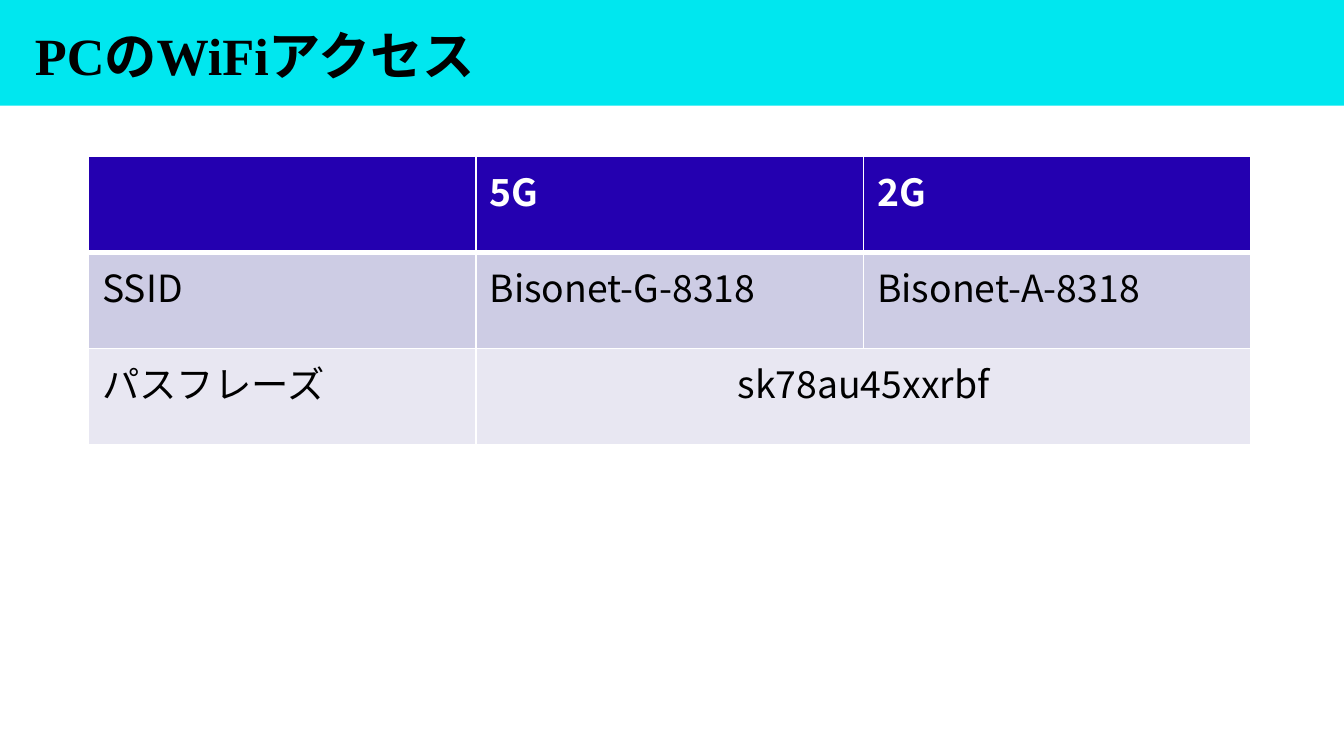
from lxml.etree import SubElement
from pptx import Presentation
from pptx.dml.color import RGBColor
from pptx.enum.shapes import MSO_SHAPE
from pptx.enum.text import MSO_ANCHOR, MSO_AUTO_SIZE, PP_ALIGN
from pptx.oxml import parse_xml
from pptx.oxml.ns import nsdecls, qn
from pptx.util import Inches, Pt

SANS = "Noto Sans CJK JP"


def paint(fill, tone):
    """Make a fill solid in the given hex colour."""
    fill.solid()
    fill.fore_color.rgb = RGBColor.from_string(tone)


def write(para, text, size, face, tone, bold):
    """Add one run, with the sans face for its Japanese letters."""
    run = para.add_run()
    run.text = text
    font = run.font
    font.size, font.name, font.bold = Pt(size), face, bold
    paint(font.fill, tone)
    SubElement(font._element, qn("a:ea"), typeface=SANS)


deck = Presentation()
wide = Inches(10)
high = wide * 9 // 16
deck.slide_width, deck.slide_height = wide, high
slide = deck.slides.add_slide(deck.slide_layouts[5])
paint(slide.background.fill, "FFFFFF")

# Band behind the title
band = slide.shapes.add_shape(MSO_SHAPE.RECTANGLE, 0, 0, wide, int(high * 0.14))
band.shadow.inherit = False
paint(band.fill, "00E7EF")
band.line.fill.background()
slide.shapes._spTree.insert(2, band._element)

# Title
title = slide.shapes.title
title.left, title.top = Inches(0.26), 0
title.width, title.height = Inches(7.31), Inches(0.75)
frame = title.text_frame
frame.auto_size = MSO_AUTO_SIZE.NONE
frame.word_wrap = True
frame.vertical_anchor = MSO_ANCHOR.MIDDLE
frame.margin_left = frame.margin_right = frame.margin_bottom = 0
frame.margin_top = Inches(0.12)
head = frame.paragraphs[0]
head.alignment = PP_ALIGN.LEFT
head.line_spacing = 0.9
write(head, "PCのWiFiアクセス", 28, "Times New Roman", "000000", True)

# Access table: row fill, text colour, cell texts
rows = [
    ("2400B0", "FFFFFF", ["", "5G", "2G"]),
    ("CDCCE4", "000000", ["SSID", "Bisonet-G-8318", "Bisonet-A-8318"]),
    ("E8E7F2", "000000", ["パスフレーズ", "sk78au45xxrbf", ""]),
]
col, row = Inches(8.65) // 3, Inches(2.15) // 3
grid = slide.shapes.add_table(
    3, 3, Inches(0.66), Inches(1.16), col * 3, row * 3).table
for part in grid.columns:
    part.width = col
for part in grid.rows:
    part.height = row

for r, (tone, ink, texts) in enumerate(rows):
    for c, text in enumerate(texts):
        cell = grid.cell(r, c)
        paint(cell.fill, tone)
        props = cell._tc.get_or_add_tcPr()
        for i, side in enumerate(("lnL", "lnR", "lnT", "lnB")):
            # The rule under the header row is the heavy one
            heavy = (r, side) in ((0, "lnB"), (1, "lnT"))
            props.insert(i, parse_xml(
                f'<a:{side} {nsdecls("a")} w="{Pt(3 if heavy else 1)}">'
                '<a:solidFill><a:srgbClr val="FFFFFF"/></a:solidFill>'
                f'</a:{side}>'))
        if text:
            write(cell.text_frame.paragraphs[0], text, 20, SANS, ink, r == 0)

grid.cell(2, 1).merge(grid.cell(2, 2))
grid.cell(2, 1).text_frame.paragraphs[0].alignment = PP_ALIGN.CENTER

deck.save("out.pptx")
